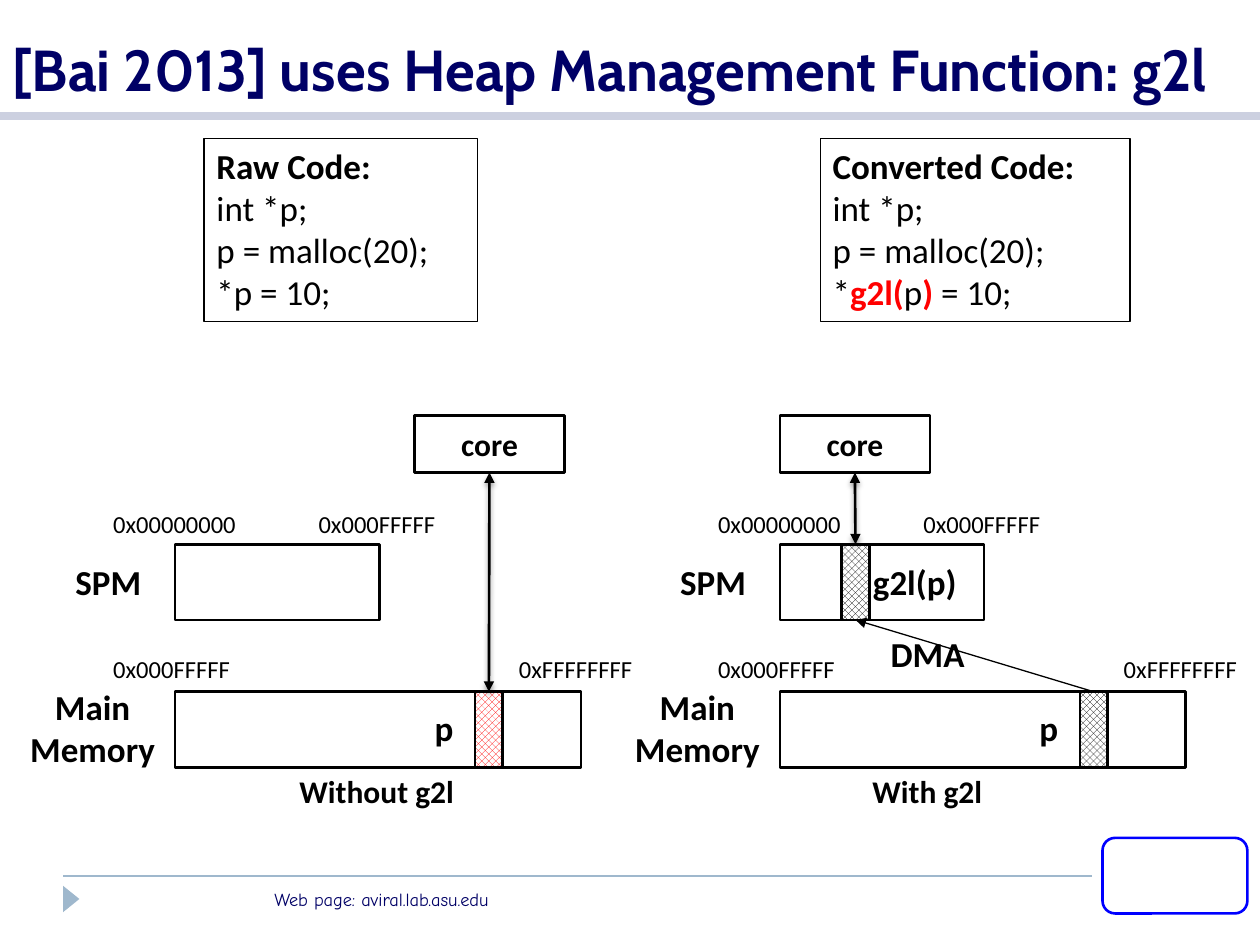
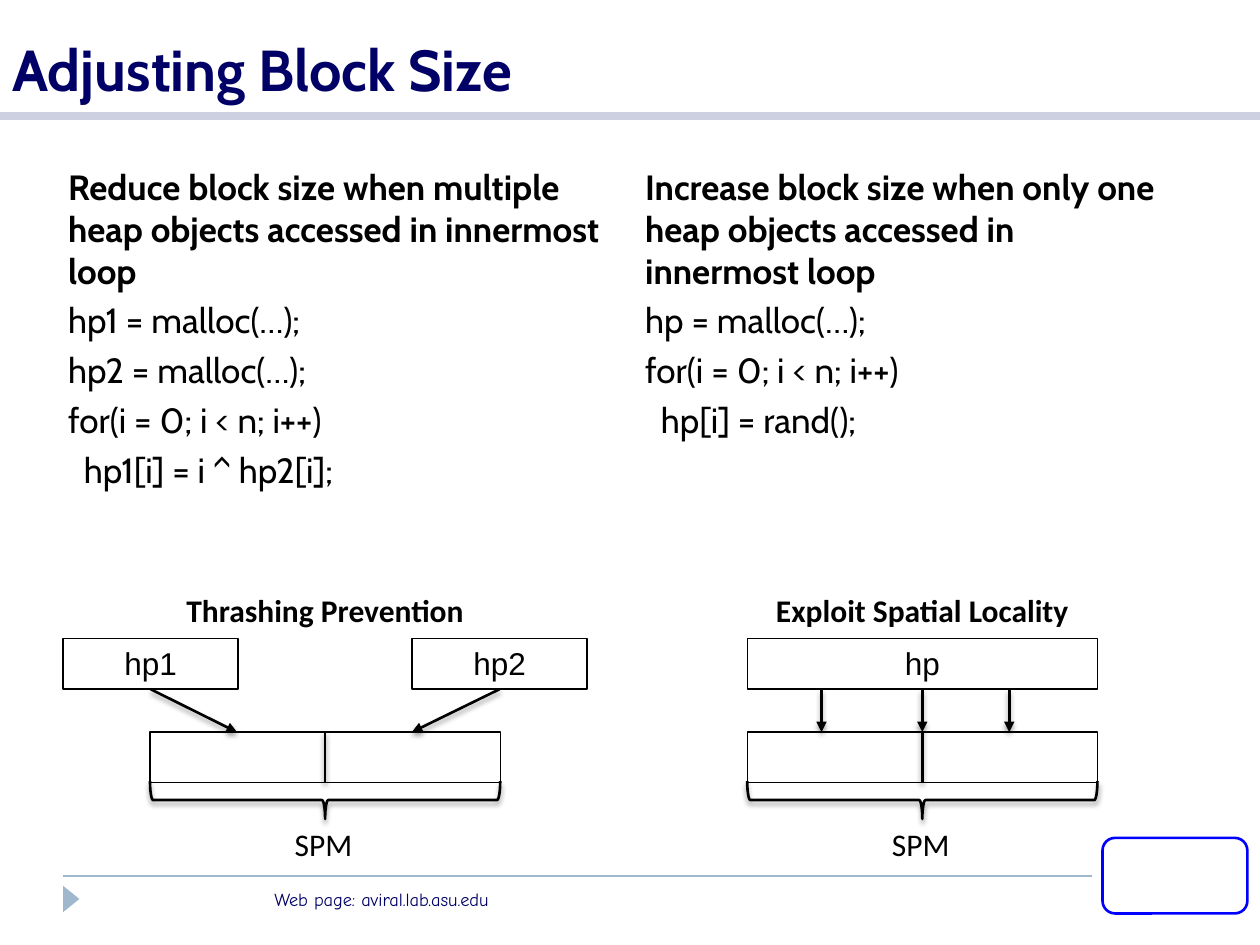
import pptx
import pptx.util
import pptx.dml.color
import pptx.enum.dml
import pptx.enum.shapes
import pptx.enum.text
import pptx.oxml
import pptx.oxml.ns
import lxml.etree

COLORS = {
    "black": "000000",
    "white": "FFFFFF",
    "navy": "000066",
    "red": "FF0000",
    "blue": "0000FF",
    "band": "CCD0E0",
    "footer": "9FB8CD",
}
SHAPES = pptx.enum.shapes.MSO_SHAPE
STRAIGHT = pptx.enum.shapes.MSO_CONNECTOR.STRAIGHT
ALIGN = pptx.enum.text.PP_ALIGN
ANCHOR = pptx.enum.text.MSO_ANCHOR
ARROW = {"tail": True, "shadow": True}
BOTH_ARROWS = {"head": True, "tail": True, "shadow": True}


def write(shape, paragraphs, size=20, font="Calibri", color="black", bold=False,
          align=ALIGN.LEFT, anchor=ANCHOR.TOP, space=0, inset=(0.1, 0.05)):
    frame = shape.text_frame
    frame.word_wrap = True
    frame.auto_size = pptx.enum.text.MSO_AUTO_SIZE.NONE
    frame.vertical_anchor = anchor
    frame.margin_left = frame.margin_right = pptx.util.Inches(inset[0])
    frame.margin_top = frame.margin_bottom = pptx.util.Inches(inset[1])
    if isinstance(paragraphs, str):
        paragraphs = [paragraphs]
    for index, content in enumerate(paragraphs):
        paragraph = frame.paragraphs[0] if index == 0 else frame.add_paragraph()
        if shape.is_placeholder:
            properties = paragraph._p.get_or_add_pPr()
            properties.set("marL", "0")
            properties.set("indent", "0")
            lxml.etree.SubElement(properties, pptx.oxml.ns.qn("a:buNone"))
        paragraph.alignment = align
        paragraph.space_before = pptx.util.Pt(space if index else 0)
        runs = [(content, color, bold)] if isinstance(content, str) else content
        for text, run_color, run_bold in runs:
            run = paragraph.add_run()
            run.text = text
            run.font.name = font
            run.font.size = pptx.util.Pt(size)
            run.font.bold = run_bold
            run.font.color.rgb = pptx.dml.color.RGBColor.from_string(COLORS[run_color])


def style(shape, fill=None, line="black", width=1.5, head=False, tail=False, shadow=False):
    if fill:
        shape.fill.solid()
        shape.fill.fore_color.rgb = pptx.dml.color.RGBColor.from_string(COLORS[fill])
    shape.line.color.rgb = pptx.dml.color.RGBColor.from_string(COLORS[line])
    shape.line.width = pptx.util.Pt(width)
    outline = shape.line._get_or_add_ln()
    for end, wanted in (("a:headEnd", head), ("a:tailEnd", tail)):
        if wanted:
            lxml.etree.SubElement(outline, pptx.oxml.ns.qn(end), type="triangle")
    effects = lxml.etree.SubElement(shape.element.spPr, pptx.oxml.ns.qn("a:effectLst"))
    if shadow:
        outer = lxml.etree.SubElement(effects, pptx.oxml.ns.qn("a:outerShdw"),
                                      blurRad="38100", dist="25400", dir="5400000", rotWithShape="0")
        shade = lxml.etree.SubElement(outer, pptx.oxml.ns.qn("a:srgbClr"), val=COLORS["black"])
        lxml.etree.SubElement(shade, pptx.oxml.ns.qn("a:alpha"), val="40000")


presentation = pptx.Presentation()
presentation.slide_width = pptx.util.Inches(10)
presentation.slide_height = pptx.util.Inches(7.5)

slides = []
for layout, title in ((5, "[Bai 2013] uses Heap Management Function: g2l"), (3, "Adjusting Block Size")):
    slide = presentation.slides.add_slide(presentation.slide_layouts[layout])
    slides.append(slide)
    heading = slide.shapes.title
    heading.left, heading.top, heading.width, heading.height = map(pptx.util.Inches, (0, 0, 10, 0.87))
    write(heading, title, size=33, font="Cabin", color="navy", bold=True, anchor=ANCHOR.BOTTOM)
    for left, right, top, color, width in ((0.5, 8.67, 6.95, "footer", 1), (0, 10, 0.92, "band", 5)):
        rule = slide.shapes.add_connector(STRAIGHT, *map(pptx.util.Inches, (left, top, right, top)))
        style(rule, line=color, width=width)
    marker = slide.shapes.add_shape(SHAPES.ISOSCELES_TRIANGLE, *map(pptx.util.Inches, (0.46, 7.07, 0.21, 0.13)))
    marker.rotation = 90
    style(marker, fill="footer", line="footer", width=0.25)
    marker.line.fill.background()
    footer = slide.shapes.add_textbox(*map(pptx.util.Inches, (2.08, 7, 3.75, 0.28)))
    write(footer, "Web page: aviral.lab.asu.edu", size=10.5, font="Comic Neue", color="navy")
    emblem = slide.shapes.add_shape(SHAPES.ROUNDED_RECTANGLE, *map(pptx.util.Inches, (8.75, 6.65, 1.15, 0.6)))
    style(emblem, fill="white", line="blue")

heap_slide, block_slide = slides

converted_line = [("*", "black", False), ("g2l(", "red", True), ("p", "black", False),
                  (") ", "red", True), ("= 10;", "black", False)]
for left, width, name, last_line in ((1.62, 2.17, "Raw Code:", "*p = 10;"),
                                     (6.51, 2.46, "Converted Code:", converted_line)):
    code = heap_slide.shapes.add_shape(SHAPES.RECTANGLE, *map(pptx.util.Inches, (left, 1.1, width, 1.45)))
    style(code, width=0.75)
    code.fill.background()
    write(code, [[(name, "black", True)], "int *p;", "p = malloc(20);", last_line])

for offset, core_left, block_color, caption, caption_left in (
        (0, 3.29, "red", "Without g2l", 2), (4.8, 6.19, "black", "With g2l", 6.37)):
    converted = offset > 0
    for top, width in ((4.32, 1.62), (5.49, 3.22)):
        memory = heap_slide.shapes.add_shape(
            SHAPES.RECTANGLE, *map(pptx.util.Inches, (1.39 + offset, top, width, 0.6)))
        style(memory, fill="white")

    labels = [
        ("SPM", 0.5 + offset, 4.4, 0.88, 20, True, ALIGN.LEFT),
        ("Main Memory", 0.08 + offset, 5.39, 1.31, 20, True, ALIGN.CENTER),
        ("p", 3.35 + offset, 5.56, 0.42, 20, True, ALIGN.LEFT),
        (caption, caption_left, 6.08, 1.98, 18, True, ALIGN.CENTER),
        ("0x00000000", 0.8 + offset, 3.99, 1.18, 14, False, ALIGN.LEFT),
        ("0x000FFFFF", 2.43 + offset, 3.99, 1.18, 14, False, ALIGN.LEFT),
        ("0x000FFFFF", 0.8 + offset, 5.14, 1.18, 14, False, ALIGN.LEFT),
        ("0xFFFFFFFF", 4.02 + offset, 5.14, 1.18, 14, False, ALIGN.LEFT),
    ]
    if converted:
        labels += [("g2l(p)", 6.83, 4.4, 1.47, 20, True, ALIGN.LEFT),
                   ("DMA", 6.97, 4.97, 0.92, 20, True, ALIGN.LEFT)]
    for text, left, top, width, size, bold, align in labels:
        label = heap_slide.shapes.add_textbox(*map(pptx.util.Inches, (left, top, width, 0.4)))
        write(label, text, size=size, bold=bold, align=align)

    blocks = []
    for left, top in [(3.77 + offset, 5.49)] + [(6.68, 4.32)] * converted:
        block = heap_slide.shapes.add_shape(SHAPES.RECTANGLE, *map(pptx.util.Inches, (left, top, 0.22, 0.6)))
        style(block)
        block.fill.patterned()
        block.fill.pattern = pptx.enum.dml.MSO_PATTERN.LARGE_CHECKER_BOARD
        block.fill.fore_color.rgb = pptx.dml.color.RGBColor.from_string(COLORS[block_color])
        block.fill.back_color.rgb = pptx.dml.color.RGBColor.from_string(COLORS["white"])
        blocks.append(block)

    core = heap_slide.shapes.add_shape(SHAPES.RECTANGLE, *map(pptx.util.Inches, (core_left, 3.3, 1.19, 0.45)))
    style(core, fill="white")
    write(core, "core", size=18, bold=True, align=ALIGN.CENTER, anchor=ANCHOR.MIDDLE)
    access = heap_slide.shapes.add_connector(STRAIGHT, 0, 0, 0, 0)
    access.begin_connect(core, 2)
    access.end_connect(blocks[-1], 0)
    style(access, **BOTH_ARROWS)
    if converted:
        transfer = heap_slide.shapes.add_connector(STRAIGHT, 0, 0, 0, 0)
        transfer.begin_connect(blocks[0], 0)
        transfer.end_connect(blocks[1], 2)
        style(transfer, width=0.75, tail=True)

bodies = [shape for shape in block_slide.placeholders if shape.placeholder_format.idx]
columns = (
    (0.44, 4.57, "Reduce block size when multiple heap objects accessed in innermost loop",
     ["hp1 = malloc(…);", "hp2 = malloc(…);", "for(i = 0; i < n; i++)", "  hp1[i] = i ^ hp2[i];"]),
    (5.02, 4.36, "Increase block size when only one heap objects accessed in innermost loop",
     ["hp = malloc(…);", "for(i = 0; i < n; i++)", "  hp[i] = rand();"]),
)
for body, (left, width, advice, code_lines) in zip(bodies, columns):
    body.left, body.top, body.width, body.height = map(pptx.util.Inches, (left, 1.26, width, 3.28))
    write(body, [[(advice, "black", True)]] + code_lines, font="Cabin", space=4.5)

diagrams = (
    (1.19, "Thrashing Prevention", [("hp1", 0.5, 1.39, [1.88]), ("hp2", 3.27, 1.39, [3.27])]),
    (5.93, "Exploit Spatial Locality", [("hp", 5.93, 2.78, [6.52, None, 8.01])]),
)
for left, caption, heap_objects in diagrams:
    label = block_slide.shapes.add_textbox(*map(pptx.util.Inches, (left - 0.07, 4.64, 2.92, 0.4)))
    write(label, caption, size=18, bold=True, align=ALIGN.CENTER)
    spm = block_slide.shapes.add_shape(SHAPES.RECTANGLE, *map(pptx.util.Inches, (left, 5.81, 2.78, 0.4)))
    style(spm, fill="white", width=0.75)
    divider = block_slide.shapes.add_connector(STRAIGHT, 0, 0, 0, 0)
    divider.begin_connect(spm, 0)
    divider.end_connect(spm, 2)
    style(divider, shadow=True)

    for name, object_left, width, targets in heap_objects:
        heap_object = block_slide.shapes.add_shape(
            SHAPES.RECTANGLE, *map(pptx.util.Inches, (object_left, 5.07, width, 0.4)))
        style(heap_object, fill="white", width=0.75)
        write(heap_object, name, size=18, font="Arial", align=ALIGN.CENTER, inset=(0.07, 0.04))
        for target in targets:
            end = target or left
            arrow = block_slide.shapes.add_connector(STRAIGHT, *map(pptx.util.Inches, (end, 5.47, end, 5.81)))
            if target is None or len(targets) == 1:
                arrow.begin_connect(heap_object, 2)
            if target is None:
                arrow.end_connect(spm, 0)
            style(arrow, **ARROW)

    brace = block_slide.shapes.add_shape(SHAPES.RIGHT_BRACE, *map(pptx.util.Inches, (left + 1.24, 4.96, 0.3, 2.78)))
    brace.rotation = 90
    style(brace, shadow=True)
    brace.fill.background()
    label = block_slide.shapes.add_textbox(*map(pptx.util.Inches, (left + 1.05, 6.5, 0.68, 0.4)))
    write(label, "SPM", size=18)

presentation.save("out.pptx")
